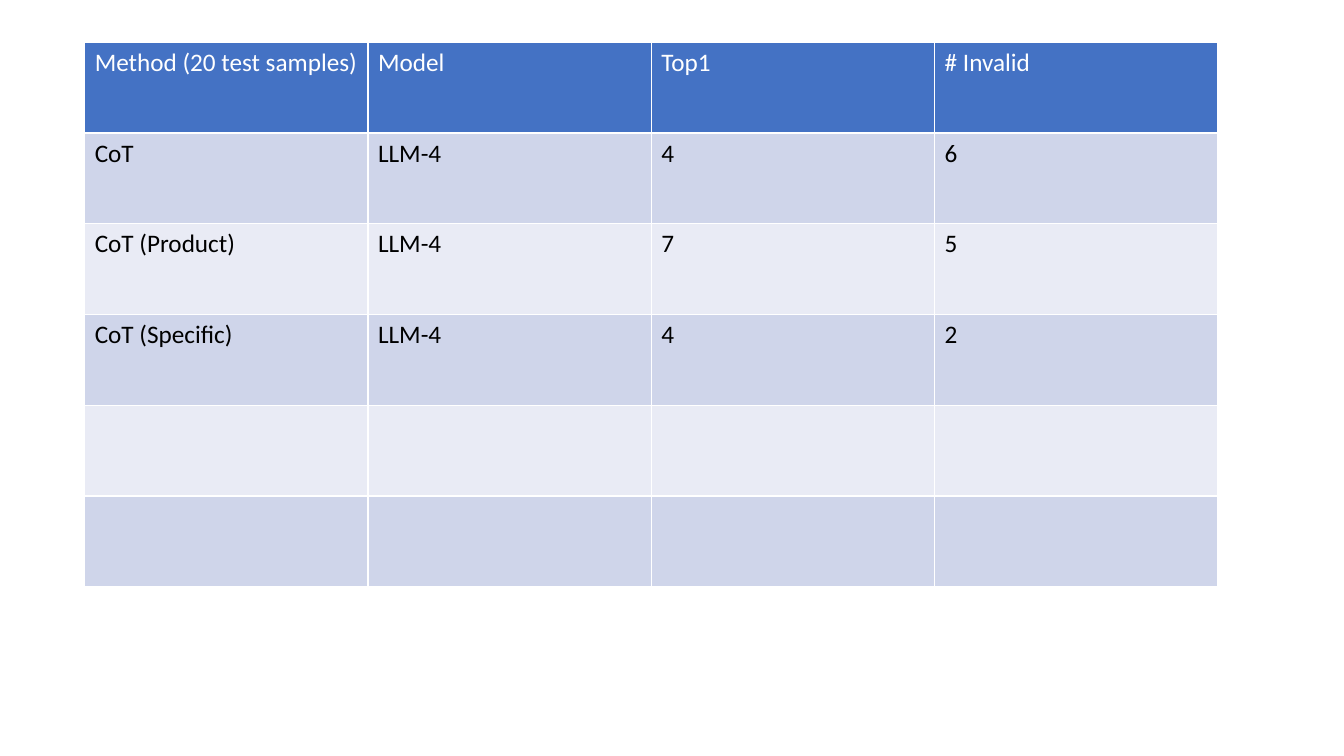
from lxml import etree
from pptx import Presentation
from pptx.dml.color import RGBColor
from pptx.oxml.ns import qn
from pptx.util import Inches, Pt

BLANK_LAYOUT = 6
FONT = "Calibri"
WHITE = "FFFFFF"
BLACK = "000000"
HEADER_FILL = "4472C4"
BAND_FILLS = ("CFD5EA", "E9EBF5")
COLUMN_WIDTH = 2.81
ROW_HEIGHT = 0.9
RESULTS = [
    ("Method (20 test samples)", "Model", "Top1", "# Invalid"),
    ("CoT", "LLM-4", "4", "6"),
    ("CoT (Product)", "LLM-4", "7", "5"),
    ("CoT (Specific)", "LLM-4", "4", "2"),
    ("", "", "", ""),
    ("", "", "", ""),
]


def color(value):
    return RGBColor.from_string(value)


def write_text(frame, text, size=18, font=FONT, ink=BLACK, bold=False):
    if not text:
        return
    span = frame.paragraphs[0].add_run()
    span.text = text
    span.font.size = Pt(size)
    span.font.name = font
    span.font.bold = bold
    span.font.color.rgb = color(ink)


def add_borders(cell, ink=WHITE, width=1):
    properties = cell._tc.get_or_add_tcPr()
    for side in ("lnL", "lnR", "lnT", "lnB"):
        line = etree.SubElement(properties, qn(f"a:{side}"), w=str(Pt(width)))
        fill = etree.SubElement(line, qn("a:solidFill"))
        etree.SubElement(fill, qn("a:srgbClr"), val=ink)


def format_cell(cell, text, fill, ink):
    add_borders(cell)
    cell.fill.solid()
    cell.fill.fore_color.rgb = color(fill)
    write_text(cell.text_frame, text, ink=ink)


def add_results_table(page, rows, left, top):
    row_count, column_count = len(rows), len(rows[0])
    table = page.shapes.add_table(
        row_count, column_count, Inches(left), Inches(top),
        Inches(COLUMN_WIDTH * column_count), Inches(ROW_HEIGHT * row_count),
    ).table
    for column in table.columns:
        column.width = Inches(COLUMN_WIDTH)
    for row_index, values in enumerate(rows):
        table.rows[row_index].height = Inches(ROW_HEIGHT)
        is_header = row_index == 0
        fill = HEADER_FILL if is_header else BAND_FILLS[(row_index - 1) % 2]
        ink = WHITE if is_header else BLACK
        for column_index, text in enumerate(values):
            format_cell(table.cell(row_index, column_index), text, fill, ink)


def main():
    deck = Presentation()
    deck.slide_width = Inches(13.33)
    deck.slide_height = Inches(7.5)
    page = deck.slides.add_slide(deck.slide_layouts[BLANK_LAYOUT])
    add_results_table(page, RESULTS, left=0.84, top=0.42)
    deck.save("out.pptx")


main()
